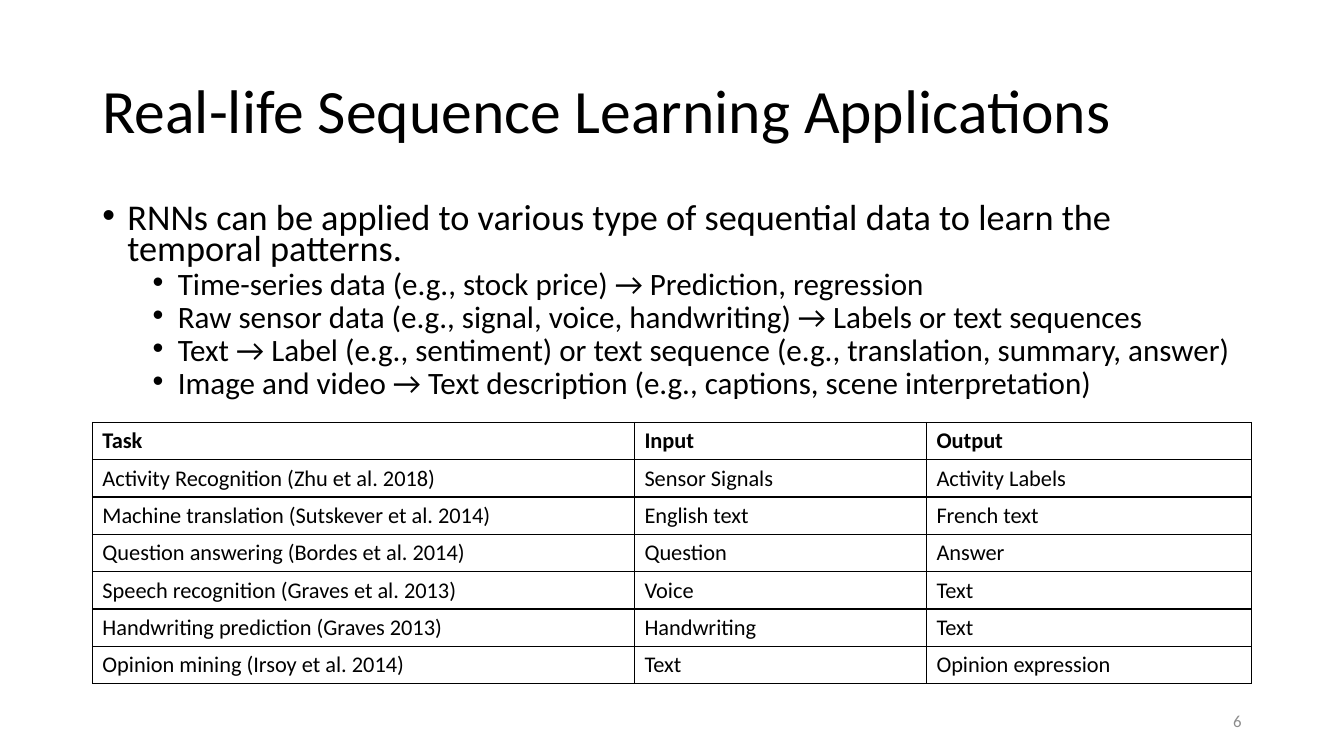
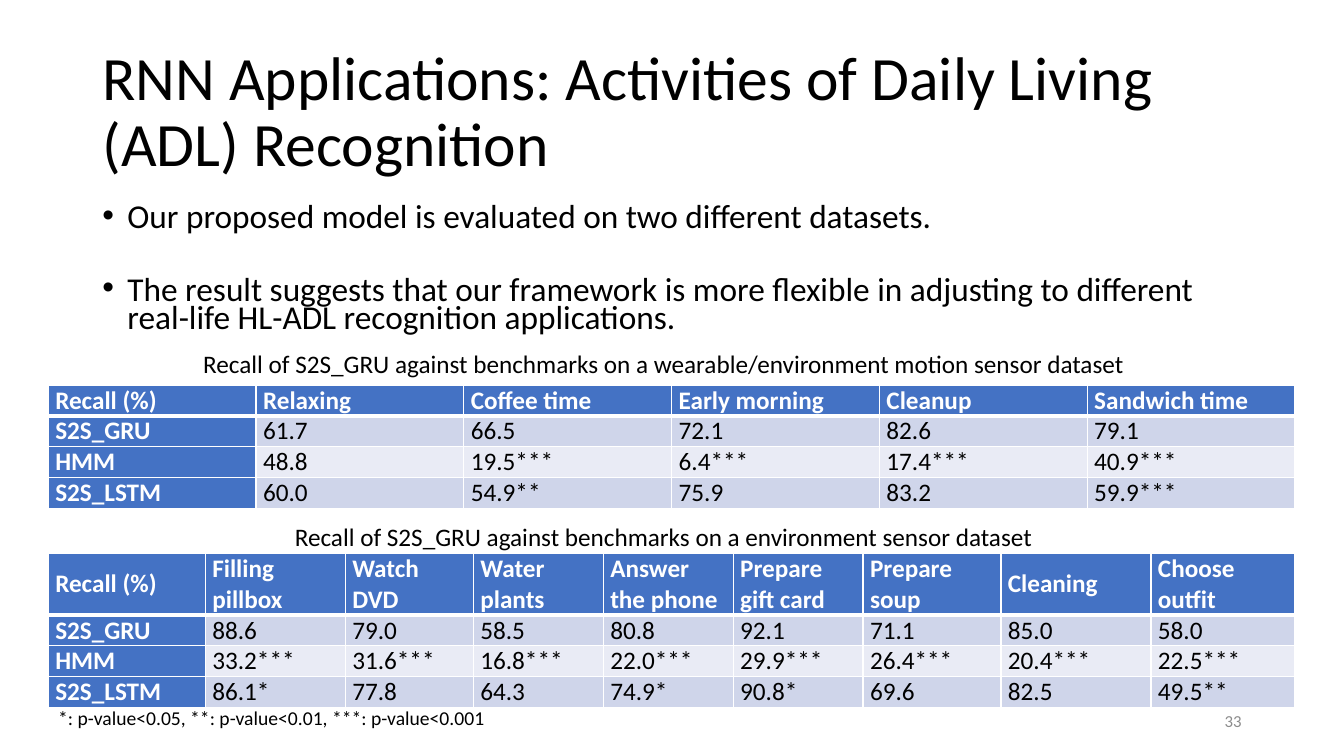
from lxml import etree
from pptx import Presentation
from pptx.dml.color import RGBColor
from pptx.enum.text import MSO_ANCHOR, PP_ALIGN
from pptx.oxml.ns import qn
from pptx.util import Pt

LEFT, RIGHT, CENTER = PP_ALIGN.LEFT, PP_ALIGN.RIGHT, PP_ALIGN.CENTER
TOP, MIDDLE = MSO_ANCHOR.TOP, MSO_ANCHOR.MIDDLE

BLACK = RGBColor(0x00, 0x00, 0x00)
WHITE = RGBColor(0xFF, 0xFF, 0xFF)
GREY = RGBColor(0x8C, 0x8C, 0x8C)
BLUE = RGBColor(0x44, 0x72, 0xC4)
BAND_DARK = RGBColor(0xCF, 0xD5, 0xEA)
BAND_LIGHT = RGBColor(0xE9, 0xEB, 0xF5)

FONT = "Calibri"
SLIDE_WIDTH, SLIDE_HEIGHT = 960, 540
MARGIN = 66
CONTENT_WIDTH = SLIDE_WIDTH - 2 * MARGIN
BODY_TOP = 144
TITLE_ONLY = 5

RECALL_LEFT, RECALL_WIDTH = 34.5, 890.6
RECALL_LINE = 22
CAPTION_CENTER = 474

APPLICATION_COLUMNS = [387.2, 208.6, 232.2]
APPLICATIONS = [
    ["Task", "Input", "Output"],
    ["Activity Recognition (Zhu et al. 2018)", "Sensor Signals", "Activity Labels"],
    ["Machine translation (Sutskever et al. 2014)", "English text", "French text"],
    ["Question answering (Bordes et al. 2014)", "Question", "Answer"],
    ["Speech recognition (Graves et al. 2013)", "Voice", "Text"],
    ["Handwriting prediction (Graves 2013)", "Handwriting", "Text"],
    ["Opinion mining (Irsoy et al. 2014)", "Text", "Opinion expression"],
]

MOTION_RECALL = [
    ["Recall (%)", "Relaxing", "Coffee time", "Early morning", "Cleanup", "Sandwich time"],
    ["S2S_GRU", "61.7", "66.5", "72.1", "82.6", "79.1"],
    ["HMM", "48.8", "19.5***", "6.4***", "17.4***", "40.9***"],
    ["S2S_LSTM", "60.0", "54.9**", "75.9", "83.2", "59.9***"],
]

ENVIRONMENT_COLUMNS = [112.2, 100, 91.5, 92.8, 92.8, 92.8, 98.5, 107.2, 102.8]
ENVIRONMENT_RECALL = [
    ["Recall (%)", "Filling pillbox", "Watch DVD", "Water plants", "Answer the phone",
     "Prepare gift card", "Prepare soup", "Cleaning", "Choose outfit"],
    ["S2S_GRU", "88.6", "79.0", "58.5", "80.8", "92.1", "71.1", "85.0", "58.0"],
    ["HMM", "33.2***", "31.6***", "16.8***", "22.0***", "29.9***", "26.4***", "20.4***", "22.5***"],
    ["S2S_LSTM", "86.1*", "77.8", "64.3", "74.9*", "90.8*", "69.6", "82.5", "49.5**"],
]


def write(paragraph, text, size, color=BLACK, bold=False, align=LEFT):
    paragraph.alignment = align
    run = paragraph.add_run()
    run.text = text
    for name, value in {"name": FONT, "size": Pt(size), "bold": bold}.items():
        setattr(run.font, name, value)
    run.font.color.rgb = color


def place(shape, left, top, width, height):
    box = {"left": left, "top": top, "width": width, "height": height}
    for name, value in box.items():
        setattr(shape, name, Pt(value))


def add_text(slide, box, text, size, color=BLACK, align=LEFT, anchor=TOP):
    frame = slide.shapes.add_textbox(*map(Pt, box)).text_frame
    frame.word_wrap = False
    frame.vertical_anchor = anchor
    write(frame.paragraphs[0], text, size, color, align=align)


def add_titled_slide(deck, title, number):
    slide = deck.slides.add_slide(deck.slide_layouts[TITLE_ONLY])
    heading = slide.shapes.title
    place(heading, MARGIN, 28.8, CONTENT_WIDTH, 104.4)
    heading.text_frame.vertical_anchor = MIDDLE
    paragraph = heading.text_frame.paragraphs[0]
    paragraph.line_spacing = 0.9
    write(paragraph, title, 44)
    number_box = (SLIDE_WIDTH - MARGIN - 216, 500.5, 216, 28.8)
    add_text(slide, number_box, number, 12, GREY, RIGHT, MIDDLE)
    return slide


def add_bullets(slide, height, items):
    """Each item is (text, level, size, space before)."""
    box = slide.shapes.add_textbox(Pt(MARGIN), Pt(BODY_TOP), Pt(CONTENT_WIDTH), Pt(height))
    frame = box.text_frame
    frame.word_wrap = True
    for index, (text, level, size, space) in enumerate(items):
        paragraph = frame.add_paragraph() if index else frame.paragraphs[0]
        paragraph.level = level
        paragraph.line_spacing = 0.7
        paragraph.space_before = Pt(space)
        write(paragraph, text, size)
        properties = paragraph._p.get_or_add_pPr()
        properties.set("marL", str(Pt(18 + 36 * level)))
        properties.set("indent", str(-Pt(18)))
        etree.SubElement(properties, qn("a:buFont"), typeface="Arial")
        etree.SubElement(properties, qn("a:buChar"), char="•")


def set_borders(cell, color, top=1, bottom=1):
    """Draw all four cell borders, with widths in points."""
    properties = cell._tc.get_or_add_tcPr()
    widths = {"a:lnL": 1, "a:lnR": 1, "a:lnT": top, "a:lnB": bottom}
    for index, (tag, width) in enumerate(widths.items()):
        line = etree.Element(qn(tag), w=str(Pt(width)))
        fill = etree.SubElement(line, qn("a:solidFill"))
        etree.SubElement(fill, qn("a:srgbClr"), val=str(color))
        properties.insert(index, line)


def add_grid(slide, left, top, columns, heights, rows, style_cell):
    """Build a table; style_cell(cell, text, row, column) fills and formats each cell."""
    frame = slide.shapes.add_table(len(rows), len(columns), Pt(left), Pt(top),
                                   Pt(sum(columns)), Pt(sum(heights)))
    table = frame.table
    for column, width in zip(table.columns, columns):
        column.width = Pt(width)
    for row, height in zip(table.rows, heights):
        row.height = Pt(height)
    for r, texts in enumerate(rows):
        for c, text in enumerate(texts):
            style_cell(table.cell(r, c), text, r, c)


def style_application(cell, text, row, column):
    write(cell.text_frame.paragraphs[0], text, 16, bold=row == 0)
    cell.fill.background()
    set_borders(cell, BLACK)


def style_recall(cell, text, row, column):
    header = row == 0 or column == 0
    margins = {"margin_left": 5, "margin_right": 5, "margin_top": 0, "margin_bottom": 0}
    for name, value in margins.items():
        setattr(cell, name, Pt(value))
    cell.vertical_anchor = MIDDLE
    write(cell.text_frame.paragraphs[0], text, 18, WHITE if header else BLACK, header)
    cell.fill.solid()
    band = BAND_DARK if row % 2 else BAND_LIGHT
    cell.fill.fore_color.rgb = BLUE if header else band
    set_borders(cell, WHITE, top=3 if row == 1 else 1, bottom=3 if row == 0 else 1)


def add_recall(slide, caption, caption_top, top, columns, header_lines, rows):
    heights = [RECALL_LINE * header_lines] + [RECALL_LINE] * (len(rows) - 1)
    add_grid(slide, RECALL_LEFT, top, columns, heights, rows, style_recall)
    width = 680
    caption_box = (CAPTION_CENTER - width / 2, caption_top, width, 28.8)
    add_text(slide, caption_box, caption, 18, align=CENTER)


def build_applications(deck):
    slide = add_titled_slide(deck, "Real-life Sequence Learning Applications", "6")
    examples = [
        "Time-series data (e.g., stock price) → Prediction, regression",
        "Raw sensor data (e.g., signal, voice, handwriting) → Labels or text sequences",
        "Text → Label (e.g., sentiment) or text sequence (e.g., translation, summary, answer)",
        "Image and video → Text description (e.g., captions, scene interpretation)",
    ]
    lead = "RNNs can be applied to various type of sequential data to learn the temporal patterns."
    add_bullets(slide, 158.4, [(lead, 0, 25.9, 10)] + [(text, 1, 22.2, 5) for text in examples])
    add_grid(slide, MARGIN, 301.7, APPLICATION_COLUMNS, [26.7] * len(APPLICATIONS),
             APPLICATIONS, style_application)


def build_recognition(deck):
    slide = add_titled_slide(
        deck, "RNN Applications: Activities of Daily Living (ADL) Recognition", "33")
    add_bullets(slide, 104.4, [
        ("Our proposed model is evaluated on two different datasets.", 0, 23.8, 10),
        ("The result suggests that our framework is more flexible in adjusting to different "
         "real-life HL-ADL recognition applications.", 0, 23.8, 32),
    ])
    count = len(MOTION_RECALL[0])
    add_recall(slide, "Recall of S2S_GRU against benchmarks on a wearable/environment motion "
               "sensor dataset", 245.5, 275, [RECALL_WIDTH / count] * count, 1, MOTION_RECALL)
    add_recall(slide, "Recall of S2S_GRU against benchmarks on a environment sensor dataset",
               368.6, 395.3, ENVIRONMENT_COLUMNS, 2, ENVIRONMENT_RECALL)
    add_text(slide, (RECALL_LEFT, 500.5, 322.6, 24.5),
             "*: p-value<0.05, **: p-value<0.01, ***: p-value<0.001", 14)


def main():
    deck = Presentation()
    deck.slide_width, deck.slide_height = Pt(SLIDE_WIDTH), Pt(SLIDE_HEIGHT)
    build_applications(deck)
    build_recognition(deck)
    deck.save("out.pptx")


if __name__ == "__main__":
    main()
